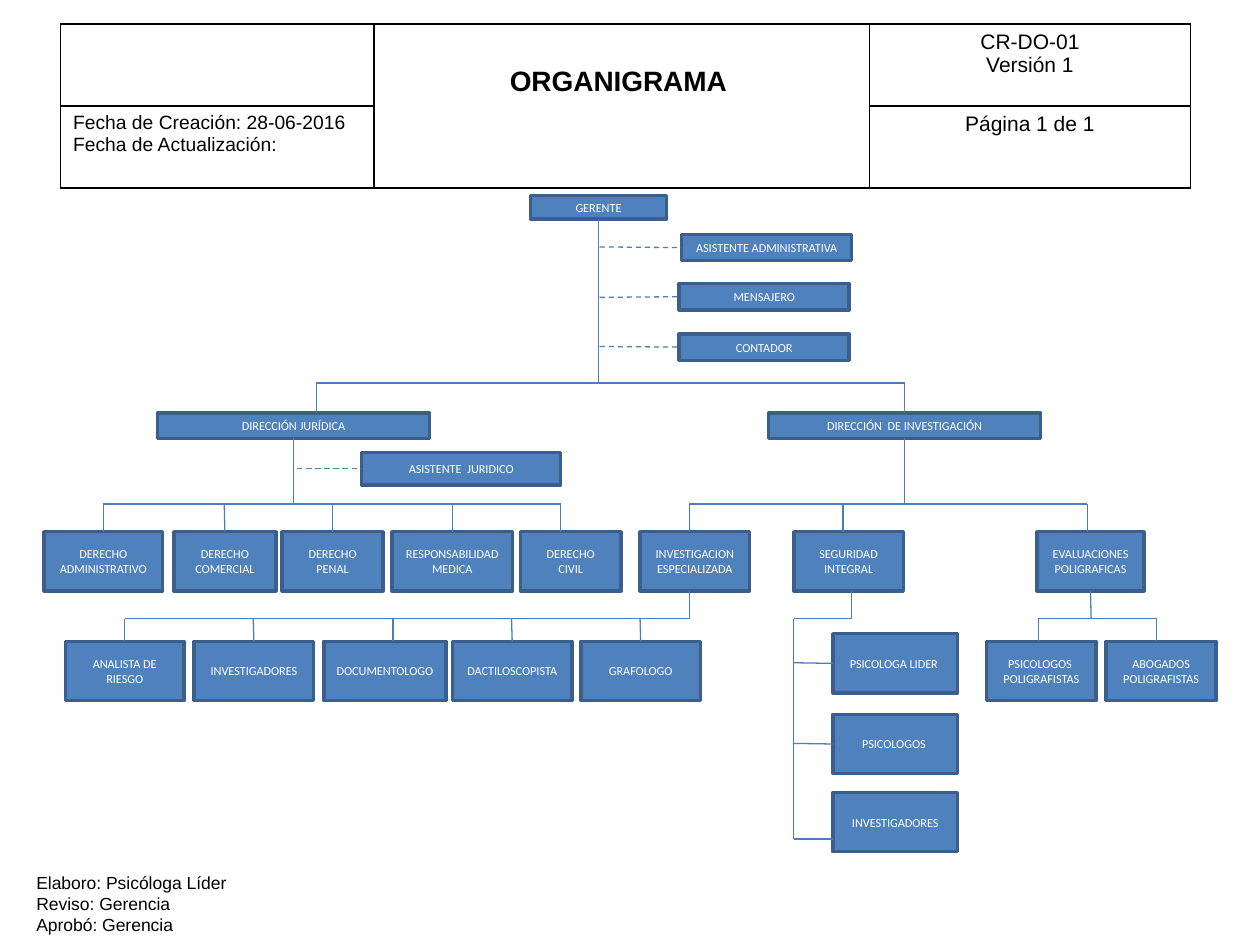
import pptx
import pptx.util
import pptx.oxml
from lxml import etree
from pptx.dml.color import RGBColor
from pptx.enum.dml import MSO_LINE
from pptx.enum.shapes import MSO_CONNECTOR, MSO_SHAPE
from pptx.enum.text import MSO_ANCHOR, PP_ALIGN
from pptx.oxml.ns import qn

COLORS = {"box": "4F81BD", "edge": "3A5F8C", "wire": "4B7EBC",
          "light": "FFFFFF", "ink": "000000"}
BOX_FONT = {"name": "Calibri", "size": pptx.util.Pt(7)}
BOX_FRAME = {"margin_left": pptx.util.Inches(0.08), "margin_right": pptx.util.Inches(0.08),
             "margin_top": 0, "margin_bottom": 0,
             "word_wrap": True, "vertical_anchor": MSO_ANCHOR.MIDDLE}

# The page is a grid of 10 by 7.5 units, one inch each.
# Levels of the chart: top, height, [(text, left, width)]
LEVELS = [
    (1.55, 0.19, [("GERENTE", 4.21, 1.08)]),
    (1.86, 0.21, [("ASISTENTE ADMINISTRATIVA", 5.41, 1.35)]),
    (2.25, 0.21, [("MENSAJERO", 5.39, 1.35)]),
    (2.65, 0.21, [("CONTADOR", 5.39, 1.35)]),
    (3.28, 0.2, [("DIRECCIÓN JURÍDICA", 1.25, 2.16),
                 ("DIRECCIÓN  DE INVESTIGACIÓN", 6.1, 2.16)]),
    (3.59, 0.26, [("ASISTENTE  JURIDICO", 2.87, 1.58)]),
    (4.22, 0.47, [("DERECHO\nADMINISTRATIVO", 0.35, 0.94),
                  ("DERECHO\nCOMERCIAL", 1.38, 0.81),
                  ("DERECHO\nPENAL", 2.24, 0.8),
                  ("RESPONSABILIDAD\nMEDICA", 3.11, 0.96),
                  ("DERECHO\nCIVIL", 4.13, 0.8),
                  ("INVESTIGACION\nESPECIALIZADA", 5.08, 0.87),
                  ("SEGURIDAD INTEGRAL", 6.3, 0.87),
                  ("EVALUACIONES POLIGRAFICAS", 8.23, 0.85)]),
    (5.09, 0.47, [("ANALISTA DE RIESGO", 0.52, 0.94),
                  ("INVESTIGADORES", 1.54, 0.95),
                  ("DOCUMENTOLOGO", 2.57, 0.97),
                  ("DACTILOSCOPISTA", 3.59, 0.95),
                  ("GRAFOLOGO", 4.61, 0.95),
                  ("PSICOLOGOS  POLIGRAFISTAS", 7.83, 0.87),
                  ("ABOGADOS POLIGRAFISTAS", 8.78, 0.87)]),
    (5.03, 0.47, [("PSICOLOGA LIDER ", 6.61, 0.99)]),
    (5.67, 0.47, [("PSICOLOGOS ", 6.61, 0.99)]),
    (6.29, 0.47, [("INVESTIGADORES", 6.61, 0.99)]),
]

# Branches: (x, y of the parent's foot), y of the bar, y and x of the children
BRANCHES = [
    ((4.75, 1.74), 3.04, 3.28, [2.51, 7.18]),
    ((2.33, 3.48), 4.0, 4.22, [0.82, 1.78, 2.64, 3.59, 4.45]),
    ((7.18, 3.48), 4.0, 4.22, [5.47, 6.69, 8.63]),
    ((5.47, 4.69), 4.91, 5.09, [0.99, 2.01, 3.12, 4.06, 5.08]),
    ((8.66, 4.69), 4.91, 5.09, [8.24, 9.18]),
]
STAFF_LINKS = [((4.76, 1.96), (5.41, 1.96)), ((4.76, 2.36), (5.39, 2.36)),
               ((4.76, 2.75), (5.39, 2.75)), ((2.36, 3.72), (2.87, 3.72))]
SECURITY_FOOT, SECURITY_TURN = (6.76, 4.69), 4.91
SECURITY_SPINE, SECURITY_EDGE, SECURITY_ROWS = 6.3, 6.61, [5.26, 5.9, 6.66]

HEADER_AREA = (0.48, 0.19, 8.97, 1.3)
HEADER_COLUMNS = [2.49, 3.93, 2.55]
# Header cells: (row, column): text, size, bold, alignment, top margin
HEADER = {
    (0, 1): ("ORGANIGRAMA ", 16, True, PP_ALIGN.CENTER, 0.34),
    (0, 2): ("CR-DO-01\nVersión 1", 12, False, PP_ALIGN.CENTER, 0.05),
    (1, 0): ("Fecha de Creación: 28-06-2016\nFecha de Actualización:", 11, False,
             PP_ALIGN.LEFT, 0.05),
    (1, 2): ("Página 1 de 1", 12, False, PP_ALIGN.CENTER, 0.05),
}
SIGNATURES = "Elaboro: Psicóloga Líder\nReviso: Gerencia\nAprobó: Gerencia"
SIGNATURES_AREA = (0.19, 6.87, 2.06, 0.61)

deck = pptx.Presentation()
deck.slide_width, deck.slide_height = pptx.util.Inches(10), pptx.util.Inches(7.5)
slide = deck.slides.add_slide(deck.slide_layouts[6])
side_middles = []


def rgb(name):
    return RGBColor.from_string(COLORS[name])


def inches(lengths):
    return [pptx.util.Inches(length) for length in lengths]


def write(frame, text, font, color, align):
    frame.text = text
    for paragraph in frame.paragraphs:
        paragraph.alignment = align
        for key, value in font.items():
            setattr(paragraph.font, key, value)
        paragraph.font.color.rgb = rgb(color)


def add_box(text, left, top, width, height):
    box = slide.shapes.add_shape(MSO_SHAPE.RECTANGLE, *inches((left, top, width, height)))
    box.shadow.inherit = False
    box.fill.solid()
    box.fill.fore_color.rgb = rgb("box")
    box.line.color.rgb = rgb("edge")
    box.line.width = pptx.util.Pt(2)
    for key, value in BOX_FRAME.items():
        setattr(box.text_frame, key, value)
    write(box.text_frame, text, BOX_FONT, "light", PP_ALIGN.CENTER)
    middle, center = left + width / 2, top + height / 2
    sides = [(middle, top), (left, center), (middle, top + height), (left + width, center)]
    side_middles.extend((x, y, box, site) for site, (x, y) in enumerate(sides))


def add_wire(start, end, dashed=False):
    """Draw a line, joining each end that meets the middle of a box's side."""
    wire = slide.shapes.add_connector(MSO_CONNECTOR.STRAIGHT, *inches(start + end))
    wire.line.color.rgb = rgb("wire")
    wire.line.width = pptx.util.Pt(0.75)
    if dashed:
        wire.line.dash_style = MSO_LINE.DASH
    etree.SubElement(wire._element.spPr, qn("a:effectLst"))
    for (x, y), join in ((start, wire.begin_connect), (end, wire.end_connect)):
        for side_x, side_y, box, site in side_middles:
            if abs(x - side_x) < 0.02 and abs(y - side_y) < 0.02:
                join(box, site)


def add_borders(cell):
    properties = cell._tc.get_or_add_tcPr()
    for place, side in enumerate(("lnL", "lnR", "lnT", "lnB")):
        properties.insert(place, pptx.oxml.parse_xml(
            f'<a:{side} xmlns:a="http://schemas.openxmlformats.org/drawingml/2006/main" '
            f'w="12700"><a:solidFill><a:srgbClr val="{COLORS["ink"]}"/></a:solidFill></a:{side}>'))


def add_header():
    header = slide.shapes.add_table(2, 3, *inches(HEADER_AREA)).table
    header.first_row = header.horz_banding = False
    for column, width in zip(header.columns, inches(HEADER_COLUMNS)):
        column.width = width
    header.cell(0, 1).merge(header.cell(1, 1))
    for cell in header.iter_cells():
        cell.fill.background()
        add_borders(cell)
    for (row, column), (text, size, bold, align, margin) in HEADER.items():
        cell = header.cell(row, column)
        cell.margin_top = pptx.util.Inches(margin)
        font = {"name": "Arial", "size": pptx.util.Pt(size), "bold": bold}
        write(cell.text_frame, text, font, "ink", align)


for top, height, boxes in LEVELS:
    for text, left, width in boxes:
        add_box(text, left, top, width, height)

for foot, bar, child_top, children in BRANCHES:
    add_wire(foot, (foot[0], bar))
    add_wire((children[0], bar), (children[-1], bar))
    for child in children:
        add_wire((child, bar), (child, child_top))
# The bar of specialised research reaches its parent on the right.
add_wire((5.08, 4.91), (5.47, 4.91))

for start, end in STAFF_LINKS:
    add_wire(start, end, dashed=True)

add_wire(SECURITY_FOOT, (SECURITY_FOOT[0], SECURITY_TURN))
add_wire((SECURITY_SPINE, SECURITY_TURN), (SECURITY_FOOT[0], SECURITY_TURN))
add_wire((SECURITY_SPINE, SECURITY_TURN), (SECURITY_SPINE, SECURITY_ROWS[-1]))
for row in SECURITY_ROWS:
    add_wire((SECURITY_SPINE, row), (SECURITY_EDGE, row))

add_header()
signatures = slide.shapes.add_textbox(*inches(SIGNATURES_AREA)).text_frame
signatures.word_wrap = True
write(signatures, SIGNATURES, {"name": "Arial", "size": pptx.util.Pt(10)}, "ink", PP_ALIGN.LEFT)

deck.save("out.pptx")
